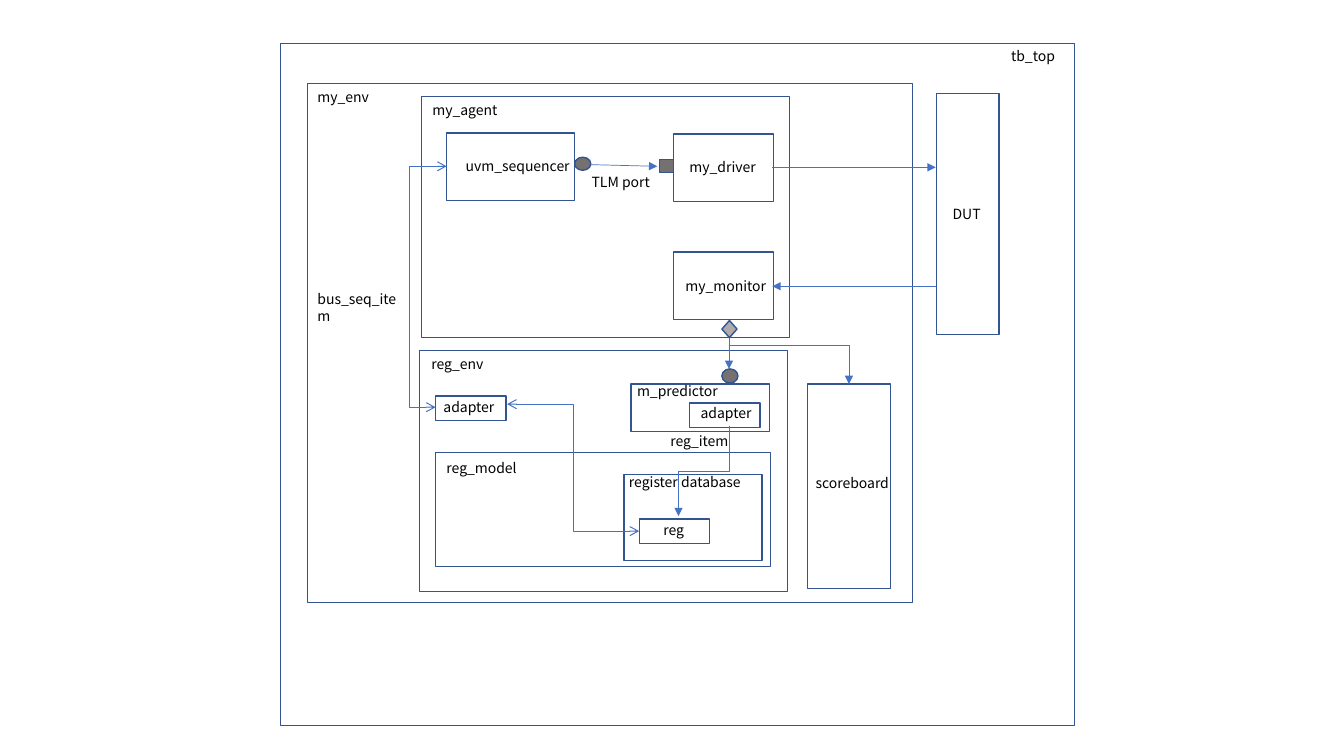
"""Draws the block diagram of a UVM testbench with a register model."""
from dataclasses import dataclass
from typing import Optional

from pptx import Presentation
from pptx.dml.color import RGBColor as RGB
from pptx.enum.shapes import MSO_CONNECTOR as LINK, MSO_SHAPE as SHAPE
from pptx.enum.text import MSO_AUTO_SIZE as AUTO
from pptx.oxml.ns import qn
from pptx.oxml.xmlchemy import OxmlElement as Element
from pptx.util import Inches, Pt


@dataclass(frozen=True)
class Theme:
    font: str = "Noto Sans CJK KR"
    size: float = 10
    border_width: float = 1
    text: str = "000000"
    border: str = "325491"
    wire: str = "4472C4"
    port: str = "767171"
    analysis_port: str = "AFABAB"


@dataclass(frozen=True)
class Box:
    col: float
    row: float
    cols: float
    rows: float
    kind: SHAPE = SHAPE.RECTANGLE
    fill: Optional[str] = None


@dataclass(frozen=True)
class Label:
    text: str
    col: float
    row: float
    cols: float


@dataclass(frozen=True)
class Wire:
    start: tuple[float, float]
    end: tuple[float, float]
    preset: str = "line"
    bend: Optional[float] = None
    downward: bool = False
    head: Optional[str] = None
    tail: str = "triangle"
    width: float = 0.5


THEME = Theme()
CELL = 0.1
LABEL_ROWS = 2.7
FRAME = (36.5, 23.9)
UNIT = (9.9, 6.7)
CHIP = (7, 2.4)
PANEL = 13.7

BOXES = [
    Box(27.8, 4.3, 78.8, 67.7),
    Box(30.5, 8.3, 60, 51.5),
    Box(92.9, 9.3, 6.2, 23.9),
    Box(41.8, 9.6, *FRAME),
    Box(41.6, 34.8, *FRAME),
    Box(44.3, 13.2, 12.7, 6.7),
    Box(66.8, 13.3, *UNIT),
    Box(66.8, 25, *UNIT),
    Box(62.6, 38.1, PANEL, 4.7),
    Box(43.2, 44.9, 33.2, 11.3),
    Box(61.9, 47.1, PANEL, 8.5),
    Box(68.4, 40, *CHIP),
    Box(43.2, 39.3, *CHIP),
    Box(63.4, 51.5, *CHIP),
    Box(80.1, 38.1, 8.2, 20.3),
]

PORTS = [
    Box(57, 15.6, 1.6, 1.3, SHAPE.OVAL, THEME.port),
    Box(65.4, 15.8, 1.4, 1.3, SHAPE.RECTANGLE, THEME.port),
    Box(71.6, 31.8, 1.5, 1.7, SHAPE.DIAMOND, THEME.analysis_port),
    Box(71.6, 36.6, 1.6, 1.4, SHAPE.OVAL, THEME.port),
]

LABELS = [
    Label("tb_top", 99.3, 4.2, 7.4),
    Label("DUT", 93.5, 19.9, 5.7),
    Label("my_env", 30.5, 8.3, 8.9),
    Label("my_agent", 41.9, 9.6, 8.9),
    Label("uvm_sequencer", 45.2, 15.1, 13.3),
    Label("TLM port", 57.7, 16.7, 8.7),
    Label("my_driver", 67.4, 15.2, 8.7),
    Label("my_monitor", 67, 27, 10),
    Label("bus_seq_item", 30.5, 28.3, 10.5),
    Label("reg_env", 41.8, 34.8, 8.9),
    Label("adapter", 43, 39, 8.9),
    Label("m_predictor", 62.2, 37.5, 10.2),
    Label("adapter", 68.5, 39.6, 7.5),
    Label("reg_item", 65.5, 42.4, 8.9),
    Label("reg_model", 43.3, 45.1, 10.2),
    Label("register database", 61.4, 46.5, 13.7),
    Label("reg", 64.8, 51.2, 7.5),
    Label("scoreboard", 79.9, 46.6, 10.2),
]

WIRES = [
    Wire((76.6, 16.6), (92.8, 16.6)),
    Wire((92.8, 28.4), (76.6, 28.4)),
    Wire((57.2, 16.3), (65.2, 16.5)),
    Wire((72.3, 31.8), (72.3, 36.6)),
    Wire((43.2, 40.4), (44.3, 16.5), "bentConnector3", -2.33,
         head="arrow", tail="arrow", width=0.75),
    Wire((63.4, 52.7), (50.3, 40.1), "bentConnector3", 0.5,
         head="arrow", tail="arrow", width=0.75),
    Wire((72.3, 42.3), (67.3, 51.2), "bentConnector3", 0.5, downward=True),
    Wire((72.3, 34.3), (84.2, 38.1), "bentConnector2"),
]


def grid(*cells: float) -> list[int]:
    """Turns grid cells into slide lengths."""
    return [Inches(c * CELL) for c in cells]


def apply(target: object, formats: dict) -> None:
    """Sets each attribute named in the formats."""
    for name, value in formats.items():
        setattr(target, name, value)


def draw_box(s, box: Box) -> None:
    """Draws an outlined box, filled when it has a fill."""
    sp = s.shapes.add_shape(box.kind, *grid(box.col, box.row, box.cols, box.rows))
    sp.shadow.inherit = False
    if box.fill:
        sp.fill.solid()
        sp.fill.fore_color.rgb = RGB.from_string(box.fill)
    else:
        sp.fill.background()
    sp.line.color.rgb = RGB.from_string(THEME.border)
    sp.line.width = Pt(THEME.border_width)


def draw_label(s, label: Label) -> None:
    """Writes a label that wraps within its columns."""
    tf = s.shapes.add_textbox(
        *grid(label.col, label.row, label.cols, LABEL_ROWS)).text_frame
    apply(tf, {"word_wrap": True, "auto_size": AUTO.SHAPE_TO_FIT_TEXT})
    r = tf.paragraphs[0].add_run()
    r.text = label.text
    apply(r.font, {"name": THEME.font, "size": Pt(THEME.size)})
    r.font.color.rgb = RGB.from_string(THEME.text)


def draw_wire(s, wire: Wire) -> None:
    """Draws a straight or bent arrow; a downward one is turned a quarter."""
    (x0, y0), (x1, y1) = wire.start, wire.end
    if wire.downward:
        mid_x, mid_y = (x0 + x1) / 2, (y0 + y1) / 2
        half_w, half_h = (y1 - y0) / 2, (x0 - x1) / 2
        x0, y0 = mid_x - half_w, mid_y - half_h
        x1, y1 = mid_x + half_w, mid_y + half_h
    kind = LINK.STRAIGHT if wire.preset == "line" else LINK.ELBOW
    link = s.shapes.add_connector(kind, *grid(x0, y0, x1, y1))
    link.line.color.rgb = RGB.from_string(THEME.wire)
    link.line.width = Pt(wire.width)
    props = link._element.spPr
    if wire.downward:
        props.find(qn("a:xfrm")).set("rot", "5400000")
    geometry = props.find(qn("a:prstGeom"))
    geometry.set("prst", wire.preset)
    if wire.bend is not None:
        guide = Element("a:gd")
        guide.set("name", "adj1")
        guide.set("fmla", f"val {round(wire.bend * 100000)}")
        geometry.find(qn("a:avLst")).append(guide)
    for tag, arrow in (("a:headEnd", wire.head), ("a:tailEnd", wire.tail)):
        if arrow:
            tip = Element(tag)
            tip.set("type", arrow)
            props.find(qn("a:ln")).append(tip)
    props.append(Element("a:effectLst"))


def main() -> None:
    """Builds the slide and saves it."""
    prs = Presentation()
    apply(prs, {"slide_width": Inches(13.33), "slide_height": Inches(7.5)})
    s = prs.slides.add_slide(prs.slide_layouts[6])
    for draw, items in ((draw_box, BOXES), (draw_wire, WIRES),
                        (draw_box, PORTS), (draw_label, LABELS)):
        for item in items:
            draw(s, item)
    prs.save("out.pptx")


main()
